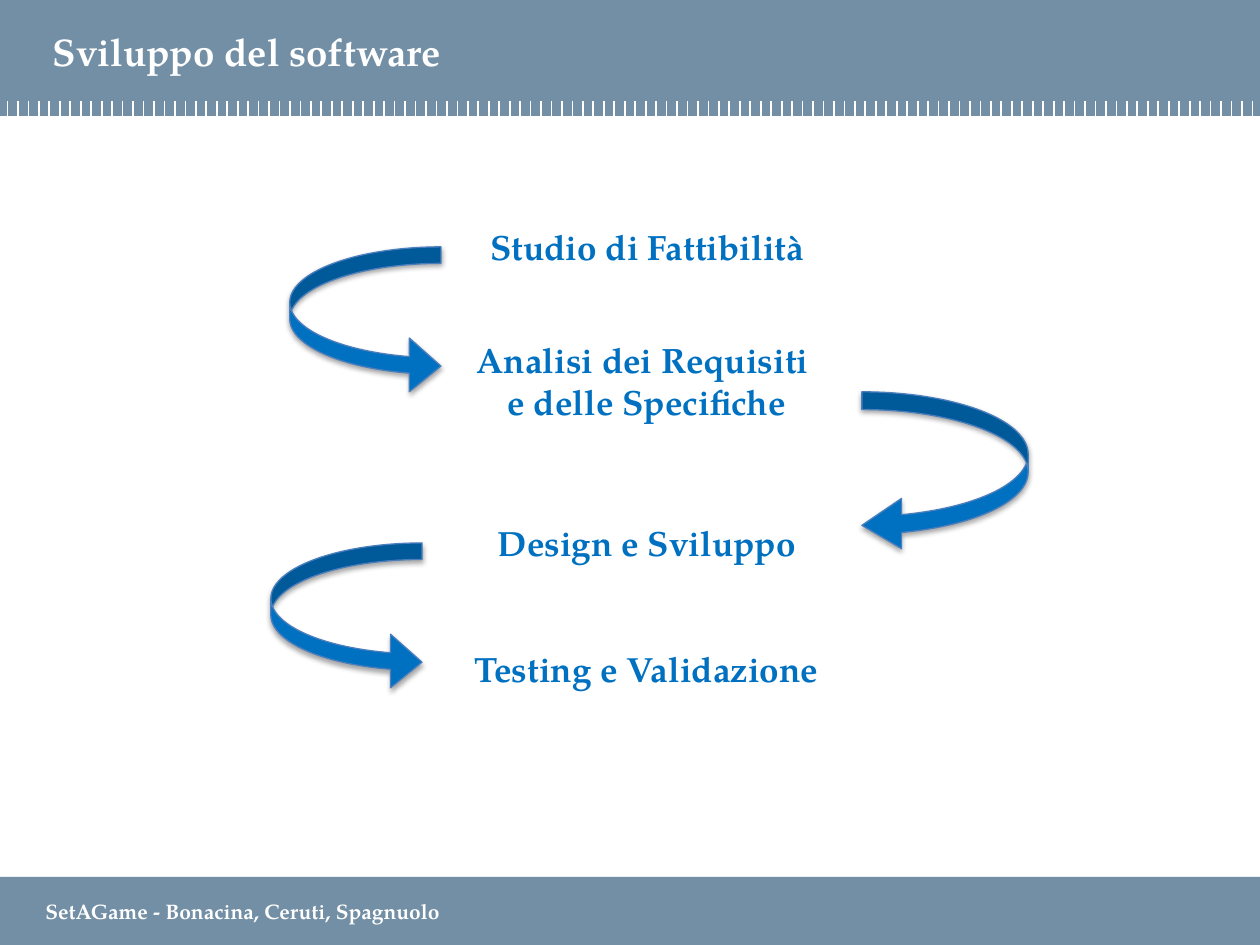
import pptx
import pptx.util
import pptx.dml.color
import pptx.enum.shapes
import pptx.enum.text
import pptx.oxml
import pptx.oxml.ns
from dataclasses import dataclass
from lxml import etree

Inches, Pt = pptx.util.Inches, pptx.util.Pt
RGB = pptx.dml.color.RGBColor.from_string
Shape = pptx.enum.shapes.MSO_SHAPE
Align = pptx.enum.text.PP_ALIGN
Anchor = pptx.enum.text.MSO_ANCHOR
Fit = pptx.enum.text.MSO_AUTO_SIZE
qn = pptx.oxml.ns.qn


@dataclass(frozen=True)
class Theme:
    font: str = "TeX Gyre Pagella"
    band: str = "728FA5"
    white: str = "FFFFFF"
    blue: str = "0070C0"
    edge: str = "4B7EBC"
    title: int = 22
    step: int = 20
    foot: int = 12


theme = Theme()
deck = pptx.Presentation()
deck.slide_width, deck.slide_height = Inches(10), Inches(7.5)
slide = deck.slides.add_slide(deck.slide_layouts[6])
shapes = slide.shapes


def add_text(text, box, size, color=theme.white, align=Align.LEFT,
             anchor=Anchor.TOP, wrap=False, fit=Fit.SHAPE_TO_FIT_TEXT):
    """Add a bold text box, one paragraph per line of text."""
    frame = shapes.add_textbox(*map(Inches, box)).text_frame
    frame.word_wrap = wrap
    frame.auto_size = fit
    frame.vertical_anchor = anchor
    frame.text = text
    for para in frame.paragraphs:
        para.alignment = align
        font = para.runs[0].font
        font.name, font.size, font.bold = theme.font, Pt(size), True
        font.color.rgb = RGB(color)


# Header and footer bands
for top, high in ((0, 0.92), (6.96, 0.54)):
    band = shapes.add_shape(Shape.RECTANGLE, 0, Inches(top), Inches(10), Inches(high))
    band.shadow.inherit = False
    band.fill.solid()
    band.fill.fore_color.rgb = RGB(theme.band)
    band.line.fill.background()

add_text(" SetAGame - Bonacina, Ceruti, Spagnuolo", (0.22, 7.08, 3.41, 0.3), theme.foot)

# Evenly spaced ticks along the header's lower edge
count, first, last = 120, 0.06, 9.94
ticks = shapes.add_group_shape()
for i in range(count):
    x = Inches(first + i * (last - first) / (count - 1))
    tick = ticks.shapes.add_connector(
        pptx.enum.shapes.MSO_CONNECTOR.STRAIGHT, x, Inches(0.8), x, Inches(0.92))
    tick.line.color.rgb = RGB(theme.white)
    tick.line.width = Pt(1)
    etree.SubElement(tick._element.spPr, qn("a:effectLst"))

add_text("Sviluppo del software", (0.32, 0.15, 7.3, 0.51), theme.title,
         anchor=Anchor.MIDDLE, wrap=True, fit=Fit.NONE)

# Process steps
steps = (
    ("Studio di Fattibilità", (3.78, 1.74, 2.72, 0.44), False),
    ("Analisi dei Requisiti \ne delle Specifiche", (3.67, 2.64, 2.93, 0.77), False),
    ("Design e Sviluppo", (3.84, 4.09, 2.59, 0.44), False),
    ("Testing e Validazione", (3.39, 5.09, 3.48, 0.44), True),
)
for text, box, wrap in steps:
    add_text(text, box, theme.step, color=theme.blue, align=Align.CENTER, wrap=wrap)

# Curved arrows from each step to the next
right = Shape.CURVED_RIGHT_ARROW, (0.113, 0.368, 0.216)
left = Shape.CURVED_LEFT_ARROW, (0.112, 0.317, 0.25)
arrows = (
    (right, (2.3, 1.96, 1.2, 1.16)),
    (left, (6.84, 3.11, 1.32, 1.26)),
    (right, (2.15, 4.31, 1.2, 1.16)),
)
for (kind, bends), box in arrows:
    arrow = shapes.add_shape(kind, *map(Inches, box))
    for i, bend in enumerate(bends):
        arrow.adjustments[i] = bend
    arrow.fill.solid()
    arrow.fill.fore_color.rgb = RGB(theme.blue)
    arrow.line.color.rgb = RGB(theme.edge)
    arrow.line.width = Pt(0.75)
    arrow.shadow.inherit = False
    glow = etree.SubElement(
        arrow._element.spPr.find(qn("a:effectLst")), qn("a:outerShdw"),
        blurRad=str(Pt(3.1)), dist=str(Pt(1.8)), dir=str(90 * 60000), rotWithShape="0")
    tone = etree.SubElement(glow, qn("a:srgbClr"), val="000000")
    etree.SubElement(tone, qn("a:alpha"), val="35000")

deck.save("out.pptx")
